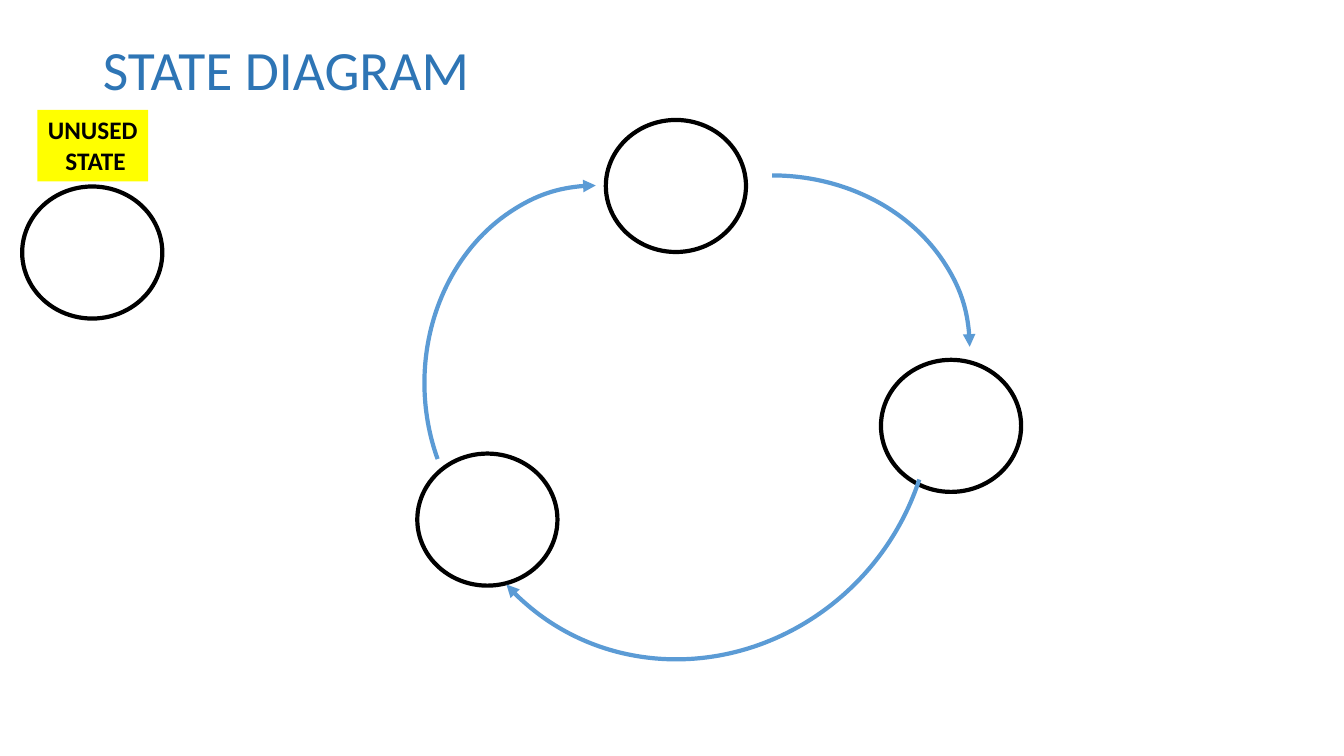
"""Build the state diagram slide."""
from dataclasses import dataclass
from typing import Any

from lxml.etree import SubElement
from pptx import Presentation
from pptx.dml.color import RGBColor
from pptx.enum.shapes import MSO_SHAPE
from pptx.enum.text import MSO_ANCHOR, MSO_AUTO_SIZE, PP_ALIGN
from pptx.oxml.ns import qn
from pptx.util import Inches, Pt

COLORS = {"title": "2E75B5", "ring": "000000", "arrow": "5B9BD5",
          "label": "FFFF00", "text": "000000"}
SLIDE_W, SLIDE_H = Inches(40 / 3), Inches(7.5)
COL, ROW = SLIDE_W / 100, SLIDE_H / 100
STATE_COLS, STATE_ROWS = 10.43, 17.47
LINE_WIDTH = Pt(3)


@dataclass(frozen=True)
class Box:
    col: float
    row: float
    cols: float
    rows: float

    def emu(self) -> tuple[int, int, int, int]:
        return (round(self.col * COL), round(self.row * ROW),
                round(self.cols * COL), round(self.rows * ROW))


@dataclass(frozen=True)
class Arrow:
    box: Box
    start: float
    end: float
    rotation: float


TITLE = Box(6.9, 5.33, 86.25, 16.67)
LABEL = Box(2.78, 14.53, 8.25, 9.47)
STATES = [Box(col, row, STATE_COLS, STATE_ROWS) for col, row in
          [(65.55, 47.6), (45.08, 15.87), (1.65, 24.67), (31.05, 60)]]
ARROWS = [
    Arrow(Box(42.75, 23.2, 29.4, 45.33), 162, 0, 0),
    Arrow(Box(29.63, 28, 29.4, 45.33), 146.6, 0, 270),
    Arrow(Box(32.78, 23.87, 37.13, 62.27), 146.6, 3.74, 131.2),
]


def rgb(name: str) -> RGBColor:
    return RGBColor.from_string(COLORS[name])


def apply(target: Any, formats: dict[str, Any]) -> None:
    for name, value in formats.items():
        setattr(target, name, value)


def add_outline(slide: Any, kind: MSO_SHAPE, box: Box, color: str) -> Any:
    sp = slide.shapes.add_shape(kind, *box.emu())
    sp.shadow.inherit = False
    sp.fill.background()
    sp.line.color.rgb = rgb(color)
    sp.line.width = LINE_WIDTH
    return sp


def add_arrow(slide: Any, arrow: Arrow) -> None:
    sp = add_outline(slide, MSO_SHAPE.ARC, arrow.box, "arrow")
    sp.adjustments[0] = arrow.start
    sp.adjustments[1] = arrow.end
    sp.rotation = arrow.rotation
    SubElement(sp.line._get_or_add_ln(), qn("a:tailEnd"), type="triangle")


def set_title(slide: Any) -> None:
    sp = slide.shapes.title
    apply(sp, dict(zip(("left", "top", "width", "height"), TITLE.emu())))
    tf = sp.text_frame
    tf.text = "STATE DIAGRAM"
    apply(tf, {"vertical_anchor": MSO_ANCHOR.TOP, "margin_top": Inches(0.02),
               "auto_size": MSO_AUTO_SIZE.NONE})
    p = tf.paragraphs[0]
    apply(p, {"alignment": PP_ALIGN.LEFT, "line_spacing": 0.9})
    apply(p.font, {"name": "Calibri", "size": Pt(39.6)})
    p.font.color.rgb = rgb("title")


def add_label(slide: Any) -> None:
    sp = slide.shapes.add_textbox(*LABEL.emu())
    sp.fill.solid()
    sp.fill.fore_color.rgb = rgb("label")
    tf = sp.text_frame
    tf.text = "UNUSED\n STATE"
    apply(tf, {"word_wrap": False, "auto_size": MSO_AUTO_SIZE.SHAPE_TO_FIT_TEXT})
    for p in tf.paragraphs:
        p.alignment = PP_ALIGN.CENTER
        apply(p.font, {"name": "Calibri", "size": Pt(18), "bold": True})
        p.font.color.rgb = rgb("text")


def main() -> None:
    prs = Presentation()
    apply(prs, {"slide_width": SLIDE_W, "slide_height": SLIDE_H})
    slide = prs.slides.add_slide(prs.slide_layouts[5])
    set_title(slide)
    for state in STATES:
        add_outline(slide, MSO_SHAPE.OVAL, state, "ring")
    for arrow in ARROWS:
        add_arrow(slide, arrow)
    add_label(slide)
    prs.save("out.pptx")


if __name__ == "__main__":
    main()
